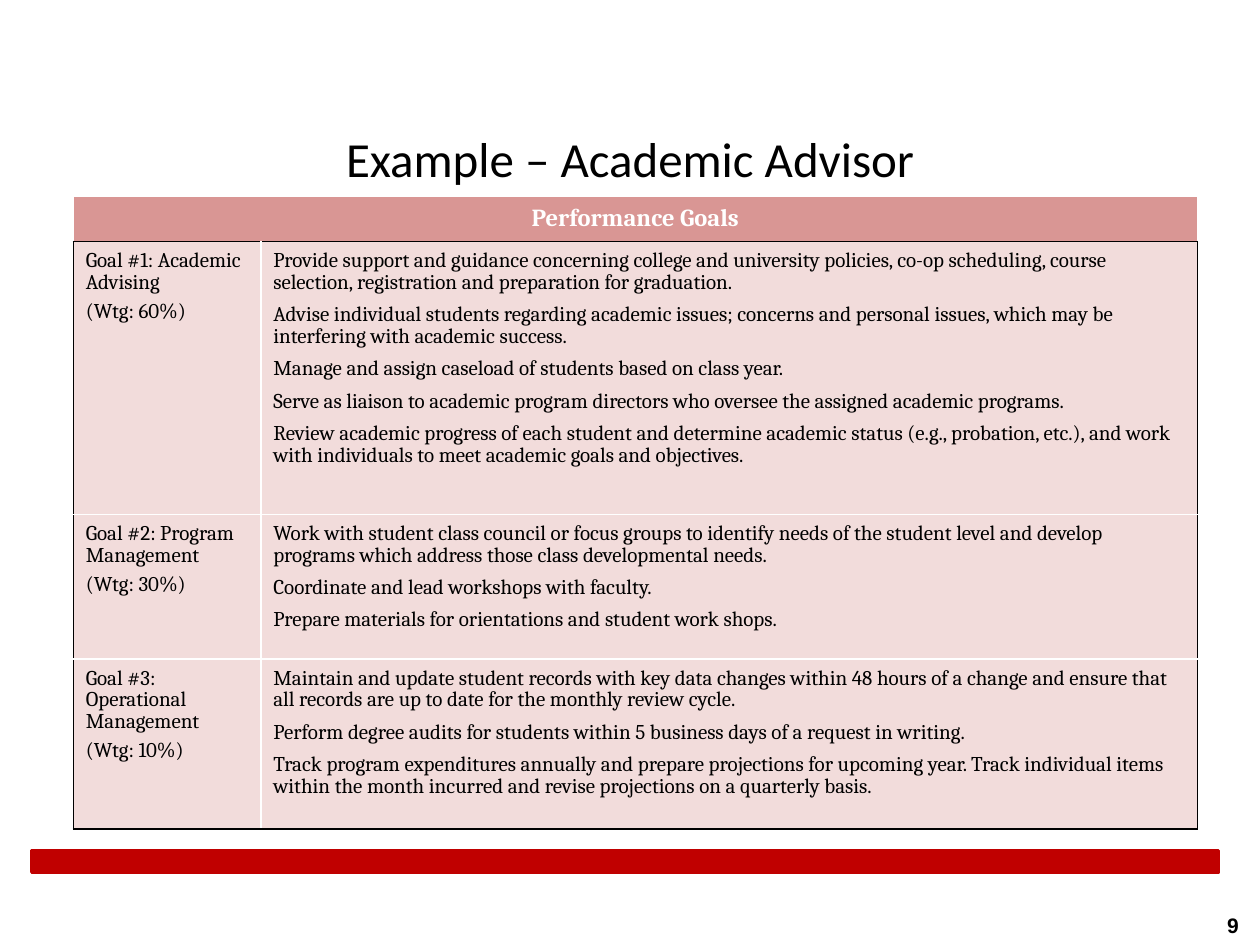
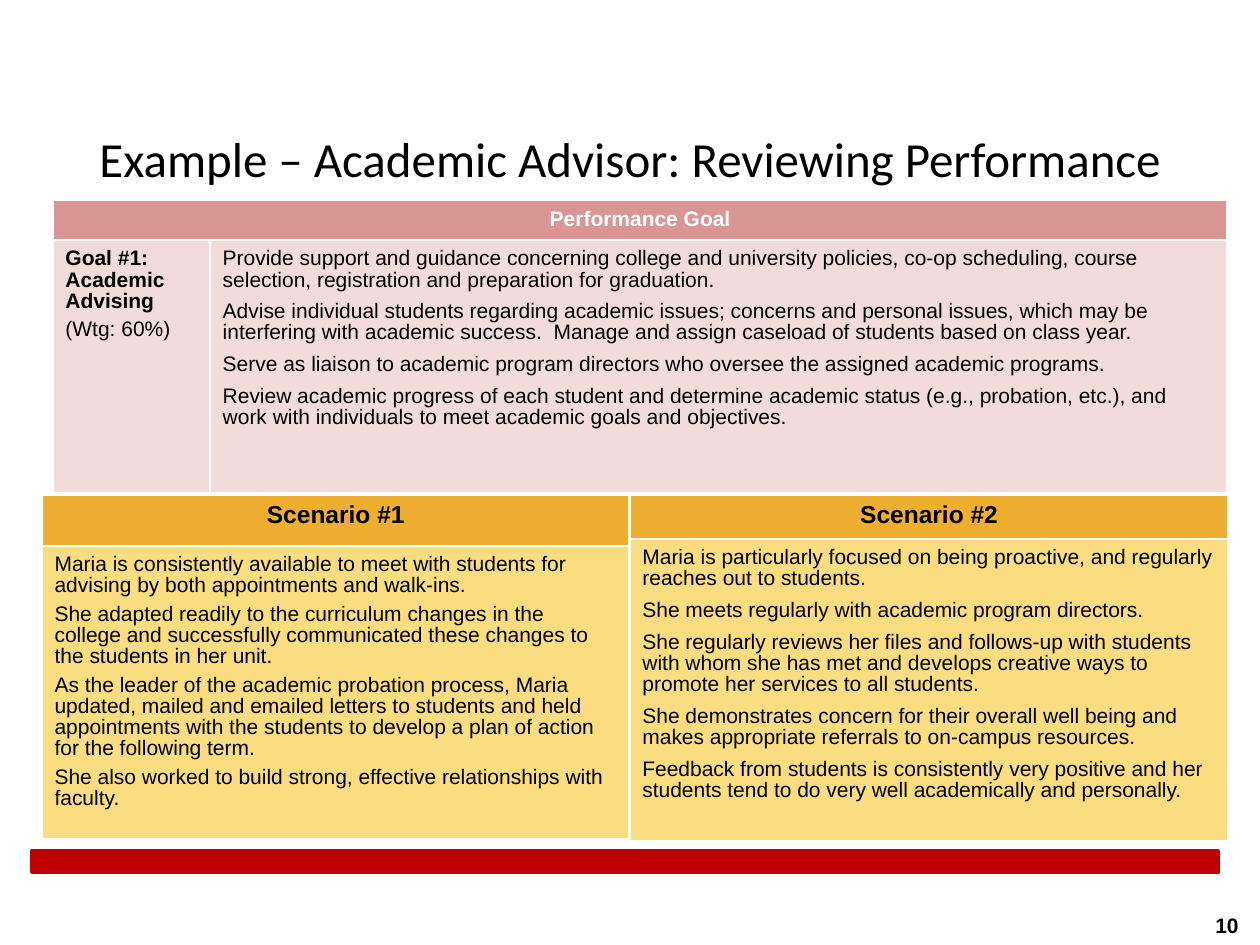
from lxml import etree
from pptx import Presentation
from pptx import util as u
from pptx.dml.color import RGBColor
from pptx.enum import shapes, text
from pptx.oxml import ns

Cm, Pt = u.Cm, u.Pt
HUES = {
    "band": "C00000", "ink": "000000", "paper": "FFFFFF",
    "rose": "D99694", "blush": "F2DCDB", "gold": "EEAF30", "cream": "FADD80",
}
BARE_STYLE = "{2D5ABB26-0587-4C30-8999-92F81FD0307C}"
MID, LEFT, RIGHT = text.PP_ALIGN.CENTER, text.PP_ALIGN.LEFT, text.PP_ALIGN.RIGHT
INSETS = {"margin_left": Cm(0.25), "margin_right": Cm(0.25),
          "margin_top": Cm(0.18), "margin_bottom": Cm(0.18)}

DUTIES = [
    "Provide support and guidance concerning college and university policies, co-op scheduling, course selection, registration and preparation for graduation.",
    "Advise individual students regarding academic issues; concerns and personal issues, which may be interfering with academic success.",
    "Manage and assign caseload of students based on class year.",
    "Serve as liaison to academic program directors who oversee the assigned academic programs.",
    "Review academic progress of each student and determine academic status (e.g., probation, etc.), and work with individuals to meet academic goals and objectives.",
]
ADVISING = ["Goal #1: Academic Advising", "(Wtg: 60%)"]
GOALS = [
    (ADVISING, DUTIES),
    (["Goal #2: Program Management", "(Wtg: 30%)"], [
        "Work with student class council or focus groups to identify needs of the student level and develop programs which address those class developmental needs.",
        "Coordinate and lead workshops with faculty.",
        "Prepare materials for orientations and student work shops.",
    ]),
    (["Goal #3: Operational Management", "(Wtg: 10%)"], [
        "Maintain and update student records with key data changes within 48 hours of a change and ensure that all records are up to date for the monthly review cycle.",
        "Perform degree audits for students within 5 business days of a request in writing.",
        "Track program expenditures annually and prepare projections for upcoming year. Track individual items within the month incurred and revise projections on a quarterly basis.",
    ]),
]
STEADY = [
    "Maria is consistently available to meet with students for advising by both appointments and walk-ins.",
    "She adapted readily to the curriculum changes in the college and successfully communicated these changes to the students in her unit.",
    "As the leader of the academic probation process, Maria updated, mailed and emailed letters to students and held appointments with the students to develop a plan of action for the following term.",
    "She also worked to build strong, effective relationships with faculty.",
]
ACTIVE = [
    "Maria is particularly focused on being proactive, and regularly reaches out to students.",
    "She meets regularly with academic program directors.",
    "She regularly reviews her files and follows-up with students with whom she has met and develops creative ways to promote her services to all students.",
    "She demonstrates concern for their overall well being and makes appropriate referrals to on-campus resources.",
    "Feedback from students is consistently very positive and her students tend to do very well academically and personally.",
]


def rgb(hue):
    return RGBColor.from_string(HUES[hue])


def apply(item, **form):
    for key, value in form.items():
        setattr(item, key, value)


def style(font, face, size, hue="ink", bold=False):
    apply(font, name=face, size=Pt(size), bold=bold)
    font.color.rgb = rgb(hue)


def fill(cell, hue, alpha=100):
    cell.fill.solid()
    cell.fill.fore_color.rgb = rgb(hue)
    if alpha < 100:
        tint = cell._tc.tcPr.find(".//" + ns.qn("a:srgbClr"))
        etree.SubElement(tint, ns.qn("a:alpha"), val=str(alpha * 1000))


def border(cell, hues, width):
    """Draw the cell's sides; hues maps L, R, T, B to a colour name."""
    props = cell._tc.get_or_add_tcPr()
    for side in "LRTB":
        line = etree.SubElement(props, ns.qn("a:ln" + side), w=str(Pt(width)))
        paint = etree.SubElement(line, ns.qn("a:solidFill"))
        etree.SubElement(paint, ns.qn("a:srgbClr"), val=HUES[hues[side]])


def write(cell, lines, face, size, gap, align=LEFT, hue="ink", bolds=0):
    """Fill a cell with paragraphs, the first `bolds` of them bold."""
    apply(cell, **INSETS)
    frame = cell.text_frame
    for i, line in enumerate(lines):
        para = frame.paragraphs[0] if i == 0 else frame.add_paragraph()
        apply(para, alignment=align, line_spacing=0.9,
              space_before=Pt(gap if i else 0))
        run = para.add_run()
        run.text = line
        style(run.font, face, size, hue, i < bolds)


def add_grid(slide, box, widths, heights, rim="paper", line=1.5):
    """Add an unstyled table: white inner lines, rim colour round the body."""
    frame = slide.shapes.add_table(len(heights), len(widths), *map(Cm, box))
    grid = frame.table
    apply(grid, first_row=False, horz_banding=False)
    frame._element.find(".//" + ns.qn("a:tableStyleId")).text = BARE_STYLE
    for col, width in zip(grid.columns, widths):
        col.width = Cm(width)
    for row, height in zip(grid.rows, heights):
        row.height = Cm(height)
    last, end = len(heights) - 1, len(widths) - 1
    for r in range(last + 1):
        for c in range(end + 1):
            outer = {"L": r > 0 and c == 0, "R": r > 0 and c == end,
                     "T": r == 1, "B": r in (0, last)}
            border(grid.cell(r, c),
                   {k: rim if on else "paper" for k, on in outer.items()}, line)
    return grid


def goal_table(slide, box, label, heights, head, goals, face, size,
               bolds=0, alpha=100, **lines):
    grid = add_grid(slide, box, [label, box[2] - label], heights, **lines)
    top = grid.cell(0, 0)
    top.merge(grid.cell(0, 1))
    top.vertical_anchor = text.MSO_ANCHOR.MIDDLE
    write(top, [head], face, size, 0, MID, "paper", 1)
    fill(top, "rose")
    for r, (name, duties) in enumerate(goals, 1):
        write(grid.cell(r, 0), name, face, 12, 4.2, bolds=bolds)
        write(grid.cell(r, 1), duties, face, 12, 6)
        for c in range(2):
            fill(grid.cell(r, c), "blush", alpha)


def scenario(slide, box, top, head, lines, gap):
    grid = add_grid(slide, box, [box[2]], [top, box[3] - top])
    title, body = grid.cell(0, 0), grid.cell(1, 0)
    write(title, [head], "Arial", 14, 0, MID, bolds=1)
    fill(title, "gold")
    write(body, lines, "Arial", 12, gap)
    fill(body, "cream", 50)


def new_slide(deck, title, page):
    slide = deck.slides.add_slide(deck.slide_layouts[5])
    band = slide.shapes.add_shape(
        shapes.MSO_SHAPE.RECTANGLE, *map(Cm, (0.64, 17.15, 23.93, 0.43)))
    band.shadow.inherit = False
    band.fill.solid()
    band.fill.fore_color.rgb = band.line.color.rgb = rgb("band")
    band.line.width = Pt(2)

    head = slide.shapes.title
    apply(head, left=Cm(1.27), top=Cm(2.44), width=Cm(22.86), height=Cm(1.5))
    head.text_frame.text = title
    head.text_frame.vertical_anchor = text.MSO_ANCHOR.MIDDLE
    para = head.text_frame.paragraphs[0]
    para.alignment = MID
    style(para.runs[0].font, "Calibri", 28)

    foot = slide.shapes.add_textbox(*map(Cm, (19.94, 18.19, 5.28, 0.84)))
    apply(foot.text_frame, word_wrap=True, text=str(page),
          vertical_anchor=text.MSO_ANCHOR.BOTTOM)
    para = foot.text_frame.paragraphs[0]
    para.alignment = RIGHT
    style(para.runs[0].font, "Arial", 12, bold=True)
    return slide


def goals_slide(deck):
    slide = new_slide(deck, "Example – Academic Advisor", 9)
    goal_table(slide, (1.48, 3.95, 22.66, 12.76), 3.78, [0.92, 5.5, 2.91, 3.43],
               "Performance Goals", GOALS, "Cambria", 14, rim="ink", line=1)


def review_slide(deck):
    slide = new_slide(
        deck, "Example – Academic Advisor: Reviewing Performance", 10)
    duties = [DUTIES[0], "  ".join(DUTIES[1:3]), *DUTIES[3:]]
    goal_table(slide, (1.07, 4.02, 23.67, 5.9), 3.17, [0.8, 5.1],
               "Performance Goal", [(ADVISING, duties)], "Arial", 12,
               bolds=1, alpha=50)
    scenario(slide, (0.85, 9.97, 11.84, 6.95), 1.03, "Scenario #1", STEADY, 4.2)
    scenario(slide, (12.7, 9.97, 12.06, 6.95), 0.85, "Scenario #2", ACTIVE, 6)


def main():
    deck = Presentation()
    apply(deck, slide_width=Cm(25.4), slide_height=Cm(19.05))
    goals_slide(deck)
    review_slide(deck)
    deck.save("out.pptx")


if __name__ == "__main__":
    main()
